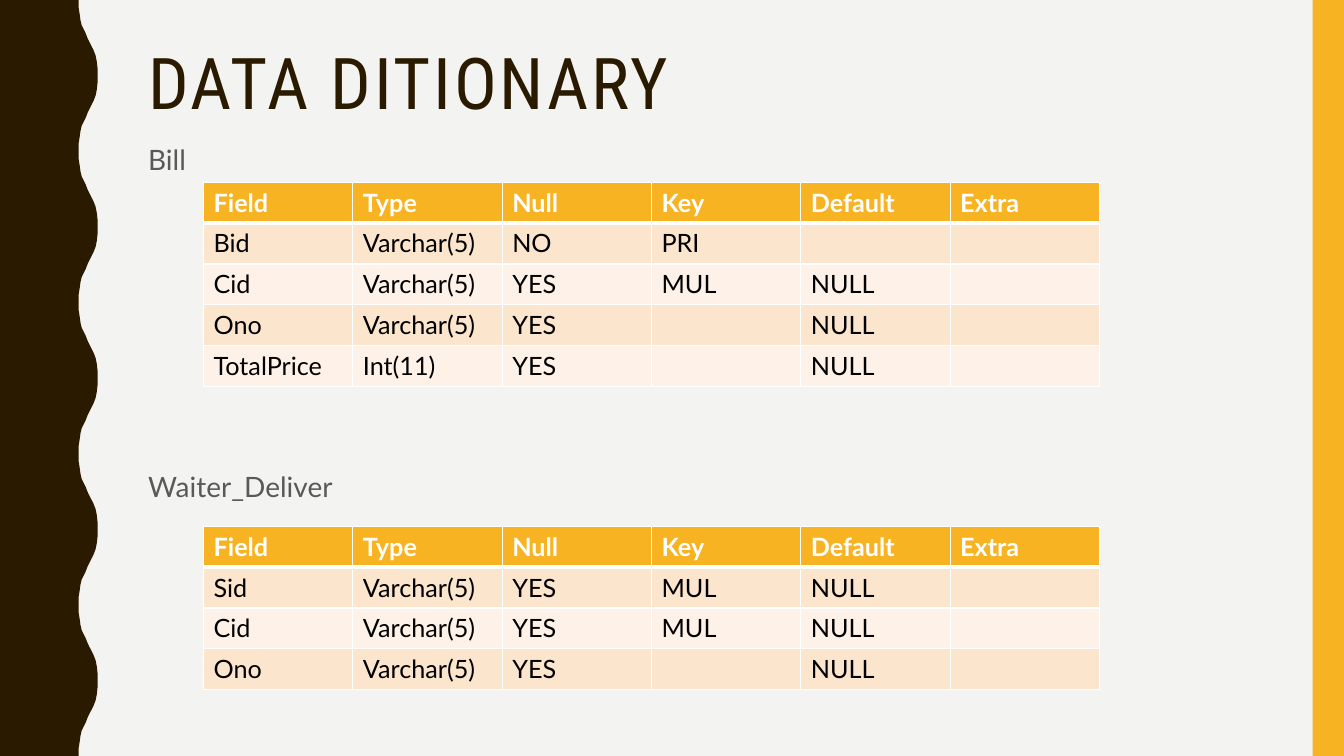
"""Build the data dictionary slide with the Bill and Waiter_Deliver tables."""
from dataclasses import dataclass

from lxml import etree
from pptx import Presentation
from pptx import util as u
from pptx.dml.color import RGBColor
from pptx.enum import shapes, text
from pptx.oxml import ns

BROWN = RGBColor(0x2A, 0x1A, 0x00)
AMBER = RGBColor(0xF8, 0xB3, 0x23)
PAPER = RGBColor(0xF3, 0xF3, 0xF2)
GREY = RGBColor(0x59, 0x59, 0x59)
WHITE = RGBColor(0xFF, 0xFF, 0xFF)
BLACK = RGBColor(0x00, 0x00, 0x00)
BANDS = (RGBColor(0xFC, 0xE5, 0xCD), RGBColor(0xFE, 0xF2, 0xE8))
HEADING_FONT, BODY_FONT = "Roboto Condensed", "Lato"

WIDTH, HEIGHT = 33.87, 19.05
STRIPE_WIDTH = 0.79
WAVE_COUNT = 5
WAVE_LENGTH = HEIGHT / WAVE_COUNT
WAVE_RISE = [
    (1.98, 0), (1.98, 0.18), (2.01, 0.36), (2.03, 0.51), (2.06, 0.64),
    (2.11, 0.74), (2.16, 0.84), (2.21, 0.97), (2.26, 1.07), (2.31, 1.17),
    (2.36, 1.27), (2.41, 1.4), (2.44, 1.55), (2.46, 1.73), (2.46, 1.9),
]
HEADER = ("Field", "Type", "Null", "Key", "Default", "Extra")


@dataclass(frozen=True)
class FieldTable:
    name: str
    top: float
    row_height: float
    space_before: float
    rows: tuple[tuple[str, ...], ...]


TABLES = (
    FieldTable("Bill", 4.6, 1.02, 0, (
        ("Bid", "Varchar(5)", "NO", "PRI", "", ""),
        ("Cid", "Varchar(5)", "YES", "MUL", "NULL", ""),
        ("Ono", "Varchar(5)", "YES", "", "NULL", ""),
        ("TotalPrice", "Int(11)", "YES", "", "NULL", ""),
    )),
    FieldTable("Waiter_Deliver", 13.26, 1.03, 207.5, (
        ("Sid", "Varchar(5)", "YES", "MUL", "NULL", ""),
        ("Cid", "Varchar(5)", "YES", "MUL", "NULL", ""),
        ("Ono", "Varchar(5)", "YES", "", "NULL", ""),
    )),
)


def write(para, content: str, *, size: float, color: RGBColor, font: str = BODY_FONT,
          bold: bool = False, spacing: float = 0, line: float = 1.0, before: float = 0) -> None:
    para.alignment = text.PP_ALIGN.LEFT
    para.line_spacing = line
    para.space_before = u.Pt(before)
    para.font.size = u.Pt(size)
    if not content:
        return
    span = para.add_run()
    span.text = content
    span.font.name, span.font.size = font, u.Pt(size)
    span.font.bold, span.font.color.rgb = bold, color
    if spacing:
        span.font._element.set("spc", str(int(spacing * 100)))


def place(box, left: float, top: float, width: float, height: float):
    box.left, box.top, box.width, box.height = map(u.Cm, (left, top, width, height))
    frame = box.text_frame
    frame.word_wrap = True
    frame.auto_size = text.MSO_AUTO_SIZE.NONE
    frame.vertical_anchor = text.MSO_ANCHOR.TOP
    return frame


def paint(shape, color: RGBColor) -> None:
    shape.shadow.inherit = False
    shape.fill.solid()
    shape.fill.fore_color.rgb = color
    shape.line.fill.background()


def draw_wave(page) -> None:
    crest = WAVE_RISE + [(x, WAVE_LENGTH - y) for x, y in reversed(WAVE_RISE)]
    edge = [(x, y + wave * WAVE_LENGTH) for wave in range(WAVE_COUNT) for x, y in crest]
    builder = page.shapes.build_freeform(0, 0)
    builder.add_line_segments([(u.Cm(x), u.Cm(y)) for x, y in edge + [(0, HEIGHT)]])
    paint(builder.convert_to_shape(), BROWN)


def set_border(cell, side: str, width: float) -> None:
    line = etree.SubElement(cell._tc.get_or_add_tcPr(), ns.qn(f"a:ln{side}"), w=str(u.Pt(width)))
    fill = etree.SubElement(line, ns.qn("a:solidFill"))
    etree.SubElement(fill, ns.qn("a:srgbClr"), val=str(WHITE))


def draw_table(page, spec_table: FieldTable) -> None:
    rows = (HEADER, *spec_table.rows)
    grid = page.shapes.add_table(
        len(rows), len(HEADER), u.Cm(5.13), u.Cm(spec_table.top),
        u.Cm(22.58), u.Cm(spec_table.row_height * len(rows))).table
    grid.horz_banding = False
    for index, values in enumerate(rows):
        grid.rows[index].height = u.Cm(spec_table.row_height)
        is_header = index == 0
        for column, value in enumerate(values):
            cell = grid.cell(index, column)
            for side in "LRTB":
                under_header = (index, side) in ((0, "B"), (1, "T"))
                set_border(cell, side, 3 if under_header else 1)
            cell.fill.solid()
            cell.fill.fore_color.rgb = AMBER if is_header else BANDS[(index - 1) % 2]
            write(cell.text_frame.paragraphs[0], value, size=18, bold=is_header,
                  color=WHITE if is_header else BLACK)


def write_labels(body) -> None:
    frame = place(body, 3.48, 3.38, 28.27, 14.71)
    for index, table in enumerate(TABLES):
        para = frame.add_paragraph() if index else frame.paragraphs[0]
        write(para, table.name, size=20, color=GREY, line=1.1, before=table.space_before)
        properties = para._p.get_or_add_pPr()
        properties.set("marL", "0")
        properties.set("indent", "0")
        etree.SubElement(properties, ns.qn("a:buNone"))
        default_run = properties.find(ns.qn("a:defRPr"))
        properties.append(default_run)


def main() -> None:
    deck = Presentation()
    deck.slide_width, deck.slide_height = u.Cm(WIDTH), u.Cm(HEIGHT)
    page = deck.slides.add_slide(deck.slide_layouts[1])
    page.background.fill.solid()
    page.background.fill.fore_color.rgb = PAPER
    draw_wave(page)
    stripe = page.shapes.add_shape(
        shapes.MSO_SHAPE.RECTANGLE, u.Cm(WIDTH - STRIPE_WIDTH), 0,
        u.Cm(STRIPE_WIDTH), u.Cm(HEIGHT))
    paint(stripe, AMBER)
    title = place(page.shapes.title, 3.48, 1.07, 28.27, 4.14)
    write(title.paragraphs[0], "DATA DITIONARY", size=51, color=BROWN,
          font=HEADING_FONT, spacing=2, line=0.9)
    write_labels(page.placeholders[1])
    for table in TABLES:
        draw_table(page, table)
    deck.save("out.pptx")


main()
